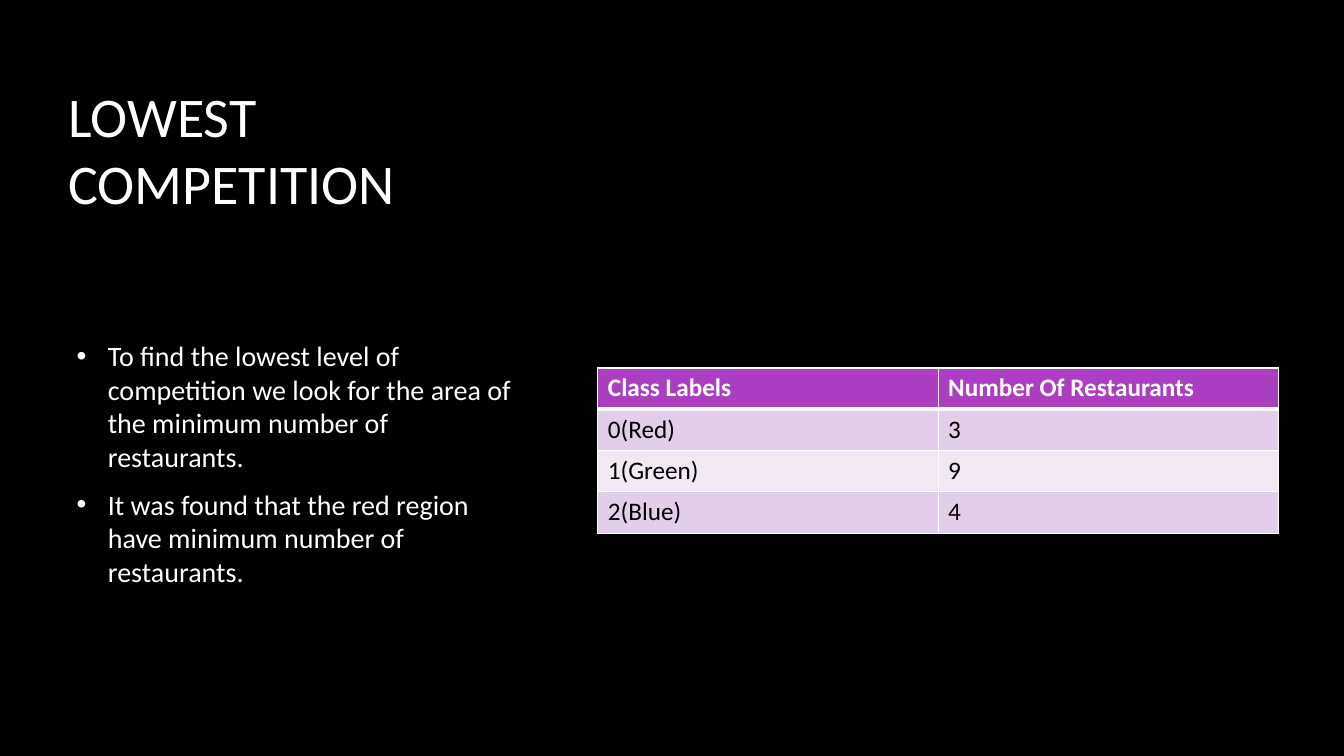
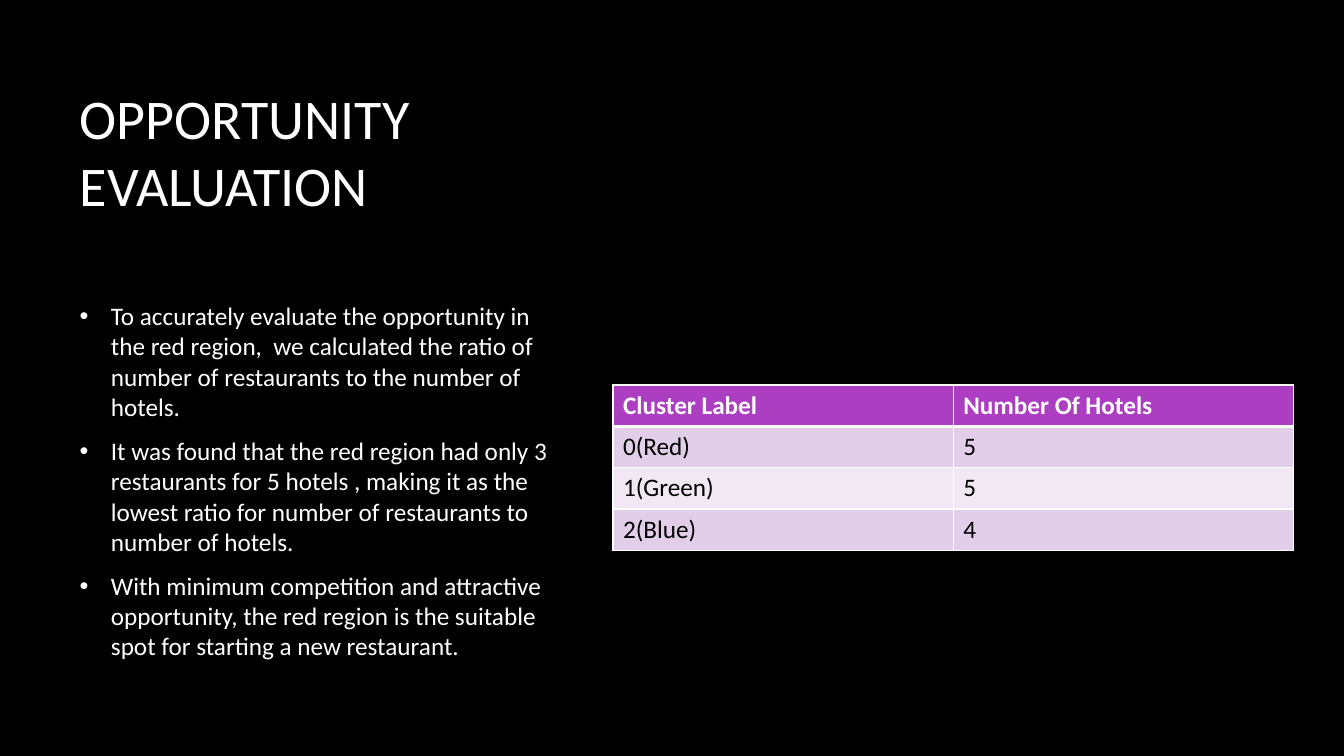
from lxml import etree
from pptx import Presentation
from pptx.dml.color import RGBColor
from pptx.enum import text
from pptx.oxml import ns
from pptx.util import Inches, Pt

BLACK = RGBColor(0x00, 0x00, 0x00)
WHITE = RGBColor(0xFF, 0xFF, 0xFF)
PURPLE = RGBColor(0xAC, 0x3E, 0xC1)
LILAC = RGBColor(0xE3, 0xCE, 0xE9)
PALE_LILAC = RGBColor(0xF1, 0xE8, 0xF4)
FONT = "Calibri"
TITLE_SIZE, TABLE_SIZE = 40, 18
TABLE_WIDTH, ROW_HEIGHT = 6.75, 0.41
BULLET_INDENT = 0.31

# Boxes are left, top, width, height in inches.
SLIDES = [
    {
        "title": "LOWEST COMPETITION",
        "title_box": (0.58, 0.69, 4.98, 1.5),
        "bullets": [
            "To find the lowest level of competition we look for the area of "
            "the minimum number of restaurants.",
            "It was found that the red region have minimum number of restaurants.",
        ],
        "bullets_box": (0.66, 3.31, 4.52, 2.5),
        "bullets_size": 20,
        "table": [
            ("Class Labels", "Number Of Restaurants"),
            ("0(Red)", "3"),
            ("1(Green)", "9"),
            ("2(Blue)", "4"),
        ],
        "table_corner": (5.93, 3.65),
    },
    {
        "title": "OPPORTUNITY EVALUATION",
        "title_box": (0.69, 0.72, 4.6, 1.49),
        "bullets": [
            "To accurately evaluate the opportunity in the red region,  we "
            "calculated the ratio of number of restaurants to the number of hotels.",
            "It was found that the red region had only 3 restaurants for 5 hotels , "
            "making it as the lowest ratio for number of restaurants to number of hotels.",
            "With minimum competition and attractive opportunity, the red region "
            "is the suitable spot for starting a new restaurant.",
        ],
        "bullets_box": (0.69, 2.93, 4.98, 3.85),
        "bullets_size": 18,
        "table": [
            ("Cluster Label", "Number Of Hotels"),
            ("0(Red)", "5"),
            ("1(Green)", "5"),
            ("2(Blue)", "4"),
        ],
        "table_corner": (6.08, 3.82),
    },
]


def set_all(target, **values):
    for name, value in values.items():
        setattr(target, name, value)


def style_font(paragraph, size, color, bold=False):
    set_all(paragraph.font, name=FONT, size=Pt(size), bold=bold)
    paragraph.font.color.rgb = color


def add_xml(parent, tag, **attributes):
    return etree.SubElement(parent, ns.qn(tag), attributes)


def place(shape, box, anchor):
    left, top, width, height = map(Inches, box)
    set_all(shape, left=left, top=top, width=width, height=height)
    set_all(shape.text_frame, word_wrap=True, vertical_anchor=anchor,
            auto_size=text.MSO_AUTO_SIZE.NONE)


def fill_title(shape, content, box):
    place(shape, box, text.MSO_ANCHOR.BOTTOM)
    shape.text_frame.text = content
    paragraph = shape.text_frame.paragraphs[0]
    set_all(paragraph, alignment=text.PP_ALIGN.LEFT)
    style_font(paragraph, TITLE_SIZE, WHITE)


def fill_bullets(shape, items, box, size):
    place(shape, box, text.MSO_ANCHOR.TOP)
    shape.text_frame.text = "\n".join(items)
    for paragraph in shape.text_frame.paragraphs:
        set_all(paragraph, space_before=Pt(0), space_after=Pt(10))
        properties = paragraph._p.get_or_add_pPr()
        indent = Inches(BULLET_INDENT)
        properties.set("marL", str(indent))
        properties.set("indent", str(-indent))
        bullet_color = add_xml(properties, "a:buClr")
        add_xml(bullet_color, "a:srgbClr", val=str(WHITE))
        add_xml(properties, "a:buFont", typeface="Arial")
        add_xml(properties, "a:buChar", char="•")
        style_font(paragraph, size, WHITE)


def add_borders(cell, widths):
    """Draw white borders; widths maps each side (L, R, T, B) to points."""
    properties = cell._tc.get_or_add_tcPr()
    for side, width in widths.items():
        line = add_xml(properties, f"a:ln{side}", w=str(Pt(width)))
        add_xml(add_xml(line, "a:solidFill"), "a:srgbClr", val=str(WHITE))


def add_count_table(slide, rows, corner):
    left, top = map(Inches, corner)
    table = slide.shapes.add_table(
        len(rows), len(rows[0]), left, top,
        Inches(TABLE_WIDTH), Inches(ROW_HEIGHT * len(rows))).table
    for row_index, row in enumerate(rows):
        is_header = row_index == 0
        fill = PURPLE if is_header else LILAC if row_index % 2 else PALE_LILAC
        widths = {"L": 1, "R": 1,
                  "T": 3 if row_index == 1 else 1,
                  "B": 3 if is_header else 1}
        for column_index, value in enumerate(row):
            cell = table.cell(row_index, column_index)
            cell.text = value
            add_borders(cell, widths)
            cell.fill.solid()
            cell.fill.fore_color.rgb = fill
            style_font(cell.text_frame.paragraphs[0], TABLE_SIZE,
                       WHITE if is_header else BLACK, is_header)


def main():
    presentation = Presentation()
    set_all(presentation, slide_width=Inches(13.33), slide_height=Inches(7.5))
    background = presentation.slide_master.background.fill
    background.solid()
    background.fore_color.rgb = BLACK
    layout = presentation.slide_layouts.get_by_name("Title and Content")
    for content in SLIDES:
        slide = presentation.slides.add_slide(layout)
        fill_title(slide.shapes.title, content["title"], content["title_box"])
        add_count_table(slide, content["table"], content["table_corner"])
        fill_bullets(slide.placeholders[1], content["bullets"],
                     content["bullets_box"], content["bullets_size"])
    presentation.save("out.pptx")


if __name__ == "__main__":
    main()
